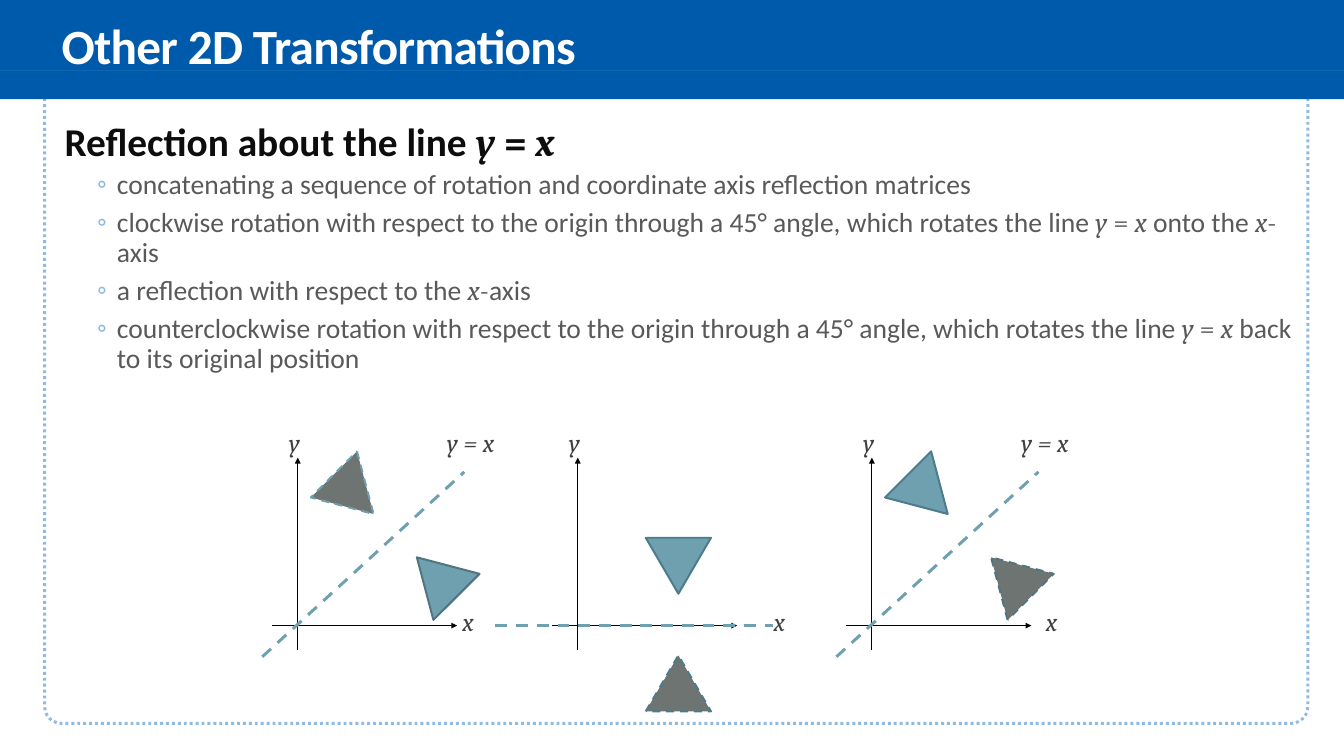
from pptx import Presentation
from pptx.dml.color import RGBColor
from pptx.enum.dml import MSO_LINE
from pptx.enum.shapes import MSO_CONNECTOR, MSO_SHAPE
from pptx.enum.text import MSO_ANCHOR, MSO_AUTO_SIZE, PP_ALIGN
from pptx.oxml.ns import qn
from pptx.util import Inches, Pt
from lxml.etree import SubElement

WHITE = RGBColor(0xFF, 0xFF, 0xFF)
BLACK = RGBColor(0, 0, 0)
HEADER_BLUE = RGBColor(0x00, 0x5A, 0xAB)
LIGHT_BLUE = RGBColor(0x8F, 0xBA, 0xE1)
HEADING = RGBColor(0x0D, 0x0D, 0x0D)
BODY_GREY = RGBColor(0x59, 0x59, 0x59)
LABEL_GREY = RGBColor(0x41, 0x41, 0x41)
TEAL = RGBColor(0x6E, 0xA0, 0xB0)
TEAL_EDGE = RGBColor(0x4C, 0x7C, 0x8B)
DARK_EDGE = RGBColor(0x50, 0x75, 0x80)
IMAGE_GREY = RGBColor(0x6D, 0x74, 0x72)

# Text between asterisks is set as mathematics; inside it, letters are italic
HEADING_TEXT = "Reflection about the line *y = x*"
STEPS = [
    "concatenating a sequence of rotation and coordinate axis reflection matrices",
    "clockwise rotation with respect to the origin through a 45° angle, "
    "which rotates the line *y = x* onto the *x-*axis",
    "a reflection with respect to the *x-*axis",
    "counterclockwise rotation with respect to the origin through a 45° angle, "
    "which rotates the line *y = x* back to its original position",
]


def style_line(line, color, width, dash=None):
    line.color.rgb = color
    line.width = Pt(width)
    if dash is not None:
        line.dash_style = dash


def add_line(slide, start, end, color, width, dash=None, arrow=False):
    ends = [Inches(v) for v in (*start, *end)]
    connector = slide.shapes.add_connector(MSO_CONNECTOR.STRAIGHT, *ends)
    style_line(connector.line, color, width, dash)
    if arrow:
        SubElement(connector.line._get_or_add_ln(), qn("a:tailEnd"), type="triangle")
    SubElement(connector._element.spPr, qn("a:effectLst"))


def add_preset(slide, preset, left, top, width, height, fill=None):
    shape = slide.shapes.add_shape(
        preset, Inches(left), Inches(top), Inches(width), Inches(height))
    shape.shadow.inherit = False
    if fill is None:
        shape.fill.background()
    else:
        shape.fill.solid()
        shape.fill.fore_color.rgb = fill
        shape.line.fill.background()
    return shape


def bezier(points, steps=24):
    p0, p1, p2, p3 = points
    for t in (i / steps for i in range(1, steps + 1)):
        u = 1 - t
        yield tuple(u**3 * a + 3 * u * u * t * b + 3 * u * t * t * c + t**3 * d
                    for a, b, c, d in zip(p0, p1, p2, p3))


def add_frame(slide, width):
    # Dotted border
    border = add_preset(slide, MSO_SHAPE.ROUNDED_RECTANGLE, 0.63, 0.29, 17.82, 9.92)
    border.adjustments[0] = 0.024
    style_line(border.line, LIGHT_BLUE, 3, MSO_LINE.ROUND_DOT)

    # Header band and the wave along its lower edge
    add_preset(slide, MSO_SHAPE.RECTANGLE, 0, 0, width, 1.4, HEADER_BLUE)
    crest = [(18.97, 1.24), (18.41, 1.2), (17.24, 1.13), (15.63, 1.15),
             (14.03, 1.16), (10.87, 1.31), (9.31, 1.31),
             (7.75, 1.31), (6.18, 1.34), (4.62, 1.31),
             (3.07, 1.27), (0.78, 1.09), (0, 1.1)]
    outline = [(18.97, 1.42), crest[0]]
    for i in range(0, len(crest) - 1, 3):
        outline.extend(bezier(crest[i:i + 4]))
    builder = slide.shapes.build_freeform(-0.01, 1.41, scale=Inches(1))
    builder.add_line_segments(outline, close=True)
    wave = builder.convert_to_shape()
    wave.shadow.inherit = False
    wave.fill.solid()
    wave.fill.fore_color.rgb = LIGHT_BLUE
    wave.line.fill.background()


def place(slide, placeholder, left, top, width, height):
    placeholder.left, placeholder.top = Inches(left), Inches(top)
    placeholder.width, placeholder.height = Inches(width), Inches(height)
    slide.shapes._spTree.append(placeholder._element)  # in front of the frame
    placeholder.text_frame.auto_size = MSO_AUTO_SIZE.NONE
    return placeholder.text_frame


def add_title(slide, *box):
    frame = place(slide, slide.shapes.title, *box)
    frame.vertical_anchor = MSO_ANCHOR.MIDDLE
    title = frame.paragraphs[0]
    title.alignment = PP_ALIGN.LEFT
    title.line_spacing = 0.85
    title.font.name, title.font.size, title.font.bold = "Calibri", Pt(50), True
    title.font.color.rgb = WHITE
    run = title.add_run()
    run.text = "Other 2D Transformations"
    run._r.get_or_add_rPr().set("spc", "-70")


def add_math_text(paragraph, text):
    for i, part in enumerate(text.split("*")):
        is_math = i % 2 == 1
        pieces = part.replace(" = ", "| = |").replace("-", "|-") if is_math else part
        for piece in filter(None, pieces.split("|")):
            run = paragraph.add_run()
            run.text = piece
            if is_math:
                run.font.name = "Cambria"
                run.font.italic = piece.isalpha()


def add_body(slide, *box):
    frame = place(slide, slide.placeholders[1], *box)
    frame.margin_left = frame.margin_right = 0
    frame.vertical_anchor = MSO_ANCHOR.TOP
    for i, text in enumerate([HEADING_TEXT, *STEPS]):
        is_step = i > 0
        paragraph = frame.add_paragraph() if is_step else frame.paragraphs[0]
        props = paragraph._p.get_or_add_pPr()
        props.set("marL", str(Inches(0.88 if is_step else 0.14)))
        props.set("indent", str(Inches(-0.28 if is_step else 0)))
        if is_step:
            paragraph.level = 1
            bullet_color = SubElement(props, qn("a:buClr"))
            SubElement(bullet_color, qn("a:srgbClr"), val=str(LIGHT_BLUE))
            SubElement(props, qn("a:buFont"), typeface="Calibri")
            SubElement(props, qn("a:buChar"), char="◦")
        else:
            SubElement(props, qn("a:buNone"))
        paragraph.line_spacing = 0.9
        paragraph.space_before = Pt(2.8 if is_step else 0)
        paragraph.space_after = Pt(5.7 if is_step else 2.8)
        paragraph.font.name = "Calibri"
        paragraph.font.size = Pt(28 if is_step else 40)
        paragraph.font.bold = not is_step
        paragraph.font.color.rgb = BODY_GREY if is_step else HEADING
        add_math_text(paragraph, text)


def add_label(slide, text, center, top, width=0.27):
    box = slide.shapes.add_textbox(
        Inches(center - width / 2), Inches(top), Inches(width), Inches(0.55))
    frame = box.text_frame
    frame.word_wrap = False
    frame.vertical_anchor = MSO_ANCHOR.MIDDLE
    frame.margin_left = frame.margin_right = Inches(0.06)
    frame.margin_top = frame.margin_bottom = Inches(0.06)
    label = frame.paragraphs[0]
    label.alignment = PP_ALIGN.CENTER
    label.font.name, label.font.size, label.font.italic = "Cambria", Pt(26), True
    label.font.color.rgb = LABEL_GREY
    label.add_run().text = text


def add_panel(slide, left, top, x_label, triangles, mirror, mirror_label=None):
    """Axes with triangles (x, y, rotation, dashed, edge) and a mirror line."""
    origin_x, origin_y = left + 0.36, top + 2.86
    # Axes and their labels
    add_line(slide, (left, origin_y), (left + 2.61, origin_y), BLACK, 1, arrow=True)
    add_line(slide, (origin_x, top + 3.21), (origin_x, top + 0.49), BLACK, 1, arrow=True)
    add_label(slide, "x", left + x_label, top + 2.52)
    add_label(slide, "y", left + 0.31, top)
    # Solid triangle and its dashed counterpart
    for x, y, rotation, dashed, edge in triangles:
        triangle = add_preset(slide, MSO_SHAPE.ISOSCELES_TRIANGLE, left + x, top + y,
                              0.92, 0.79, IMAGE_GREY if dashed else TEAL)
        triangle.rotation = rotation
        style_line(triangle.line, edge, 2, MSO_LINE.DASH if dashed else None)
    # Mirror line
    start, end = [(left + x, top + y) for x, y in mirror]
    add_line(slide, start, end, TEAL, 3, MSO_LINE.DASH)
    if mirror_label:
        add_label(slide, mirror_label, left + 2.8, top, 0.86)


def main():
    prs = Presentation()
    prs.slide_width, prs.slide_height = Inches(18.96), Inches(10.67)
    slide = prs.slides.add_slide(prs.slide_layouts[1])
    add_frame(slide, 18.96)
    add_title(slide, 0.77, 0.14, 17.54, 1.11)
    add_body(slide, 0.77, 1.68, 17.54, 8.53)

    diagonal = [(-0.14, 3.3), (2.71, 0.69)]
    horizontal = [(-0.8, 2.86), (3.11, 2.86)]
    upper, lower = (0.69, 0.61, 135), (1.86, 1.78, 315)
    above, below = (1.32, 1.62, 180), (1.32, 3.28, 0)
    top = 5.97
    add_panel(slide, 3.84, top, 2.76,
              [(*upper, True, TEAL), (*lower, False, DARK_EDGE)], diagonal, "y = x")
    add_panel(slide, 7.79, top, 3.2,
              [(*above, False, TEAL_EDGE), (*below, True, TEAL_EDGE)], horizontal)
    add_panel(slide, 11.94, top, 2.89,
              [(*upper, False, TEAL_EDGE), (*lower, True, DARK_EDGE)], diagonal, "y = x")
    prs.save("out.pptx")


if __name__ == "__main__":
    main()
